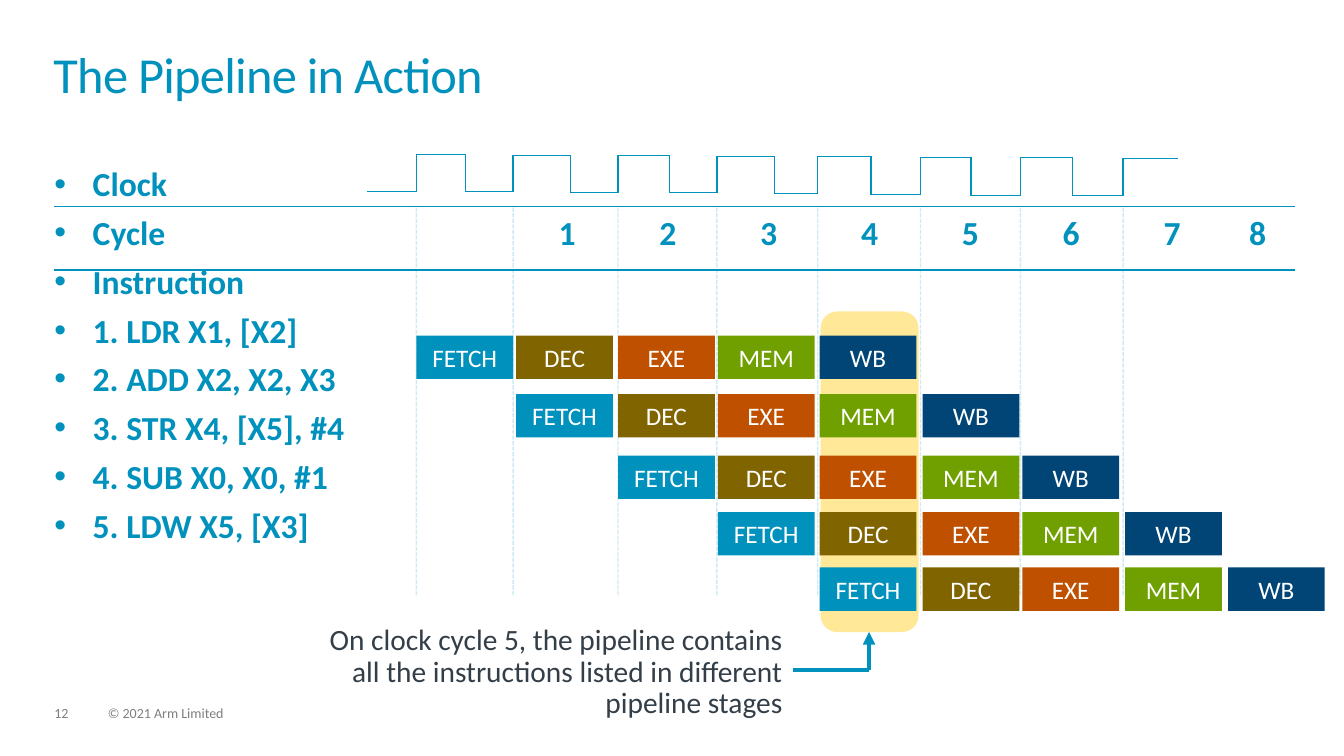
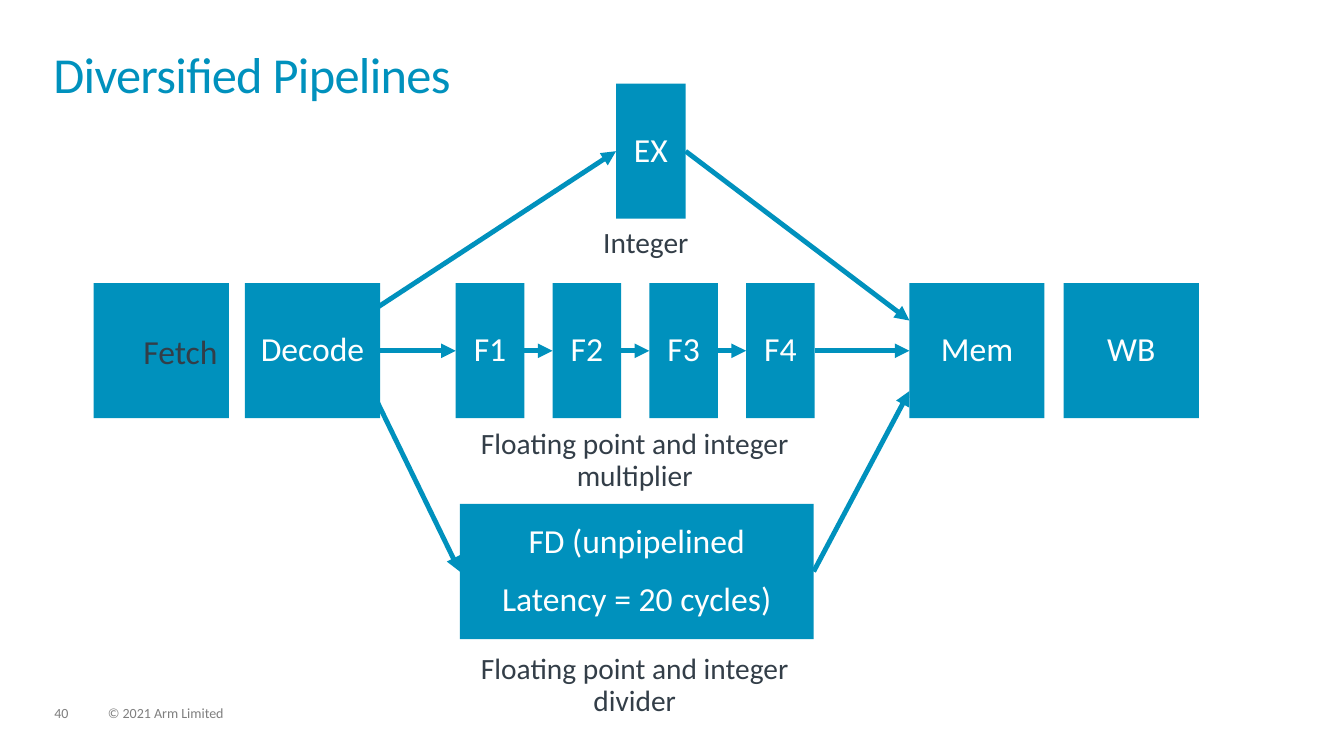
from dataclasses import dataclass
from itertools import pairwise
from typing import Optional

from lxml.etree import SubElement
from pptx import Presentation
from pptx.dml.color import RGBColor
from pptx.enum.dml import MSO_LINE
from pptx.enum.shapes import MSO_CONNECTOR, MSO_SHAPE
from pptx.enum.text import MSO_ANCHOR, MSO_AUTO_SIZE, PP_ALIGN
from pptx.oxml.ns import qn
from pptx.util import Inches, Pt

SLIDE_WIDTH, SLIDE_HEIGHT = 13.33, 7.5


@dataclass(frozen=True)
class Theme:
    font: str = "Calibri"
    blue: str = "0091BD"
    brown: str = "806400"
    orange: str = "BF5000"
    green: str = "70A000"
    navy: str = "004575"
    highlight: str = "FFE999"
    text: str = "333E48"
    footer: str = "7F7F7F"
    white: str = "FFFFFF"
    title_size: int = 36
    body_size: int = 24
    caption_size: int = 21
    stage_size: int = 18
    footer_size: int = 10


THEME = Theme()


@dataclass(frozen=True)
class Box:
    """A rectangle in inches."""
    left: float
    top: float
    width: float
    height: float

    @property
    def right(self) -> float:
        return self.left + self.width

    @property
    def middle(self) -> float:
        return self.top + self.height / 2

    def lengths(self) -> list:
        return [Inches(value) for value in
                (self.left, self.top, self.width, self.height)]


@dataclass(frozen=True)
class TextStyle:
    size: int
    color: str
    align: PP_ALIGN = PP_ALIGN.LEFT
    line_spacing: float = 1.0
    space_after: int = 0
    space_before: int = 0
    bold: bool = False


FOOTER = TextStyle(THEME.footer_size, THEME.footer, line_spacing=0.9)
TITLE = TextStyle(THEME.title_size, THEME.blue, line_spacing=0.85)
LISTING = TextStyle(THEME.body_size, THEME.blue, space_before=6, bold=True)
NOTE = TextStyle(THEME.caption_size, THEME.text, PP_ALIGN.RIGHT, 0.9)
CAPTION = TextStyle(THEME.caption_size, THEME.text, PP_ALIGN.CENTER, 0.9)
STAGE = TextStyle(THEME.stage_size, THEME.white, PP_ALIGN.CENTER)
UNIT = TextStyle(THEME.body_size, THEME.white, PP_ALIGN.CENTER, 0.9, 16)
FETCH_UNIT = TextStyle(THEME.body_size, THEME.text, PP_ALIGN.CENTER)


# Shared drawing functions

def format_paragraph(paragraph, style: TextStyle, first: bool) -> None:
    paragraph.alignment = style.align
    paragraph.line_spacing = style.line_spacing
    paragraph.space_before = Pt(0 if first else style.space_before)
    paragraph.space_after = Pt(style.space_after)
    font = paragraph.font
    font.name, font.size, font.bold = THEME.font, Pt(style.size), style.bold
    font.color.rgb = RGBColor.from_string(style.color)


def write_text(shape, text: str, style: TextStyle,
               anchor: MSO_ANCHOR = MSO_ANCHOR.TOP, inset_left: float = 0) -> None:
    frame = shape.text_frame
    frame.text = text
    frame.word_wrap = True
    frame.auto_size = MSO_AUTO_SIZE.NONE
    frame.vertical_anchor = anchor
    frame.margin_left = Inches(inset_left)
    frame.margin_right = frame.margin_top = frame.margin_bottom = 0
    for index, paragraph in enumerate(frame.paragraphs):
        format_paragraph(paragraph, style, index == 0)


def add_text(slide, box: Box, text: str, style: TextStyle) -> None:
    write_text(slide.shapes.add_textbox(*box.lengths()), text, style)


def add_block(slide, box: Box, fill: str, text: str = "",
              style: Optional[TextStyle] = None, inset_left: float = 0,
              kind: MSO_SHAPE = MSO_SHAPE.RECTANGLE) -> None:
    shape = slide.shapes.add_shape(kind, *box.lengths())
    shape.shadow.inherit = False
    shape.fill.solid()
    shape.fill.fore_color.rgb = RGBColor.from_string(fill)
    shape.line.fill.background()
    if style:
        write_text(shape, text, style, MSO_ANCHOR.MIDDLE, inset_left)


def add_line(slide, start: tuple[float, float], end: tuple[float, float],
             width: float = 1, arrow: bool = False, faint: bool = False) -> None:
    connector = slide.shapes.add_connector(
        MSO_CONNECTOR.STRAIGHT, *(Inches(value) for value in start + end))
    line = connector.line
    line.width = Pt(width)
    line.color.rgb = RGBColor.from_string(THEME.blue)
    properties = connector._element.spPr
    SubElement(properties, qn("a:effectLst"))
    if faint:
        line.dash_style = MSO_LINE.SQUARE_DOT
        color = properties.find(".//" + qn("a:srgbClr"))
        SubElement(color, qn("a:alpha"), val="18000")
    if arrow:
        SubElement(properties.find(qn("a:ln")), qn("a:tailEnd"), type="triangle")


def add_titled_slide(presentation, title: str, number: int):
    slide = presentation.slides.add_slide(presentation.slide_layouts[5])
    shape = slide.shapes.title
    shape.left, shape.top, shape.width, shape.height = Box(
        0.53, 0.52, 12.28, 0.72).lengths()
    write_text(shape, title, TITLE)
    run = shape.text_frame.paragraphs[0].runs[0]
    run._r.get_or_add_rPr().set("spc", "-50")
    add_text(slide, Box(0.54, 7.01, 0.34, 0.15), str(number), FOOTER)
    add_text(slide, Box(1.07, 7.01, 5.07, 0.15), "© 2021 Arm Limited", FOOTER)
    return slide


# Slide: pipeline timing chart

CLOCK_RISES = (4.13, 5.09, 6.13, 7.11, 8.11, 9.13, 10.12, 11.14)
CLOCK_FALLS = (4.62, 5.66, 6.64, 7.68, 8.64, 9.63, 10.64, 11.68)
STAGE_LEFTS = (4.13, 5.12, 6.13, 7.12, 8.13, 9.15, 10.14, 11.16, 12.18)
ROW_TOPS = (3.33, 3.91, 4.52, 5.08, 5.63)
STAGES = (("FETCH", THEME.blue), ("DEC", THEME.brown), ("EXE", THEME.orange),
          ("MEM", THEME.green), ("WB", THEME.navy))
LISTING_LINES = (
    "Clock", "Cycle\t" + "\t".join(str(cycle) for cycle in range(1, 9)),
    "Instruction", "1. LDR X1, [X2]", "2. ADD X2, X2, X3",
    "3. STR X4, [X5], #4", "4. SUB X0, X0, #1", "5. LDW X5, [X3]")
CYCLE_TABS = (5, 6, 7, 8, 9, 10, 11, 11.85)


def add_bullet_and_tabs(paragraph) -> None:
    properties = paragraph._p.get_or_add_pPr()
    hanging = Inches(0.38)
    properties.set("marL", str(hanging))
    properties.set("indent", str(-hanging))
    color = SubElement(properties, qn("a:buClr"))
    SubElement(color, qn("a:srgbClr"), val=THEME.blue)
    SubElement(properties, qn("a:buFont"), typeface="Arial")
    SubElement(properties, qn("a:buChar"), char="•")
    tabs = SubElement(properties, qn("a:tabLst"))
    for position in CYCLE_TABS:
        SubElement(tabs, qn("a:tab"), pos=str(Inches(position)), algn="l")


def add_listing(slide) -> None:
    shape = slide.shapes.add_textbox(*Box(0.54, 1.62, 12.23, 4.47).lengths())
    frame = shape.text_frame
    frame.word_wrap = True
    frame.margin_left = frame.margin_right = 0
    frame.margin_top = frame.margin_bottom = 0
    for index, text in enumerate(LISTING_LINES):
        paragraph = frame.add_paragraph() if index else frame.paragraphs[0]
        paragraph.text = text
        add_bullet_and_tabs(paragraph)
        format_paragraph(paragraph, LISTING, index == 0)


def add_clock(slide) -> None:
    """Draw a square wave that sinks slightly from left to right."""
    points = [(3.64, 1.9)]
    for cycle, (rise, fall) in enumerate(zip(CLOCK_RISES, CLOCK_FALLS)):
        high = round(1.53 + 0.04 * cycle / 7, 2)
        low = round(1.9 + 0.05 * cycle / 7, 2)
        points += [(rise, points[-1][1]), (rise, high), (fall, high), (fall, low)]
    for start, end in pairwise(points[:-1]):
        add_line(slide, start, end)


def build_timing_slide(presentation) -> None:
    slide = add_titled_slide(presentation, "The Pipeline in Action", 12)
    add_listing(slide)
    add_block(slide, Box(8.14, 3.09, 0.97, 3.18), THEME.highlight,
              kind=MSO_SHAPE.ROUNDED_RECTANGLE)
    for rule_top in (2.05, 2.68):
        add_line(slide, (0.54, rule_top), (12.84, rule_top))
    for rise in CLOCK_RISES:
        add_line(slide, (rise, 2.06), (rise, 5.92), faint=True)

    # Each instruction starts one cycle after the one above it
    for row, top in enumerate(ROW_TOPS):
        for step, (name, color) in enumerate(STAGES):
            box = Box(STAGE_LEFTS[row + step], top, 0.96, 0.43)
            add_block(slide, box, color, name, STAGE)

    # Note with its bent arrow
    add_line(slide, (8.62, 6.65), (8.62, 6.27), 3, arrow=True)
    add_line(slide, (8.62, 6.65), (7.87, 6.65), 3)
    add_text(slide, Box(3.22, 6.2, 4.54, 0.95),
             "On clock cycle 5, the pipeline contains all the instructions "
             "listed in different pipeline stages", NOTE)
    add_clock(slide)


# Slide: parallel execution units

UNIT_SIDE = 1.34
INTEGER_TOP, MAIN_TOP, DIVIDER_TOP = 0.83, 2.81, 5.0
MULTIPLIER_LEFT, MULTIPLIER_PITCH, NARROW = 4.52, 0.96, 0.68


def build_units_slide(presentation) -> None:
    slide = add_titled_slide(presentation, "Diversified Pipelines", 40)
    fetch, decode, memory, write_back = (
        Box(left, MAIN_TOP, UNIT_SIDE, UNIT_SIDE) for left in (0.93, 2.43, 9.02, 10.55))
    integer = Box(6.11, INTEGER_TOP, 0.69, UNIT_SIDE)
    divider = Box(4.56, DIVIDER_TOP, 3.51, UNIT_SIDE)
    multiplier = [Box(MULTIPLIER_LEFT + MULTIPLIER_PITCH * step, MAIN_TOP,
                      NARROW, UNIT_SIDE) for step in range(4)]

    # Units
    add_block(slide, fetch, THEME.blue, "Fetch", FETCH_UNIT, inset_left=0.38)
    units = [(decode, "Decode"), (integer, "EX"), (memory, "Mem"),
             (write_back, "WB"), (divider, "FD (unpipelined\nLatency = 20 cycles)")]
    units += [(box, f"F{step}") for step, box in enumerate(multiplier, 1)]
    for box, name in units:
        add_block(slide, box, THEME.blue, name, UNIT)

    # Arrows along the main row, then the branches around it
    arrows = [((before.right, before.middle), (after.left, after.middle))
              for before, after in pairwise([decode, *multiplier, memory])]
    arrows += [((3.56, 3.17), (integer.left, integer.middle)),
               ((3.69, 3.88), (divider.left, divider.middle)),
               ((integer.right, integer.middle), (memory.left, 3.18)),
               ((divider.right, divider.middle), (memory.left, 3.88))]
    for start, end in arrows:
        add_line(slide, start, end, 3.5, arrow=True)

    # Captions
    add_text(slide, Box(5.76, 2.26, 1.29, 0.32), "Integer", CAPTION)
    for top, kind in ((4.26, "multiplier"), (6.49, "divider")):
        add_text(slide, Box(MULTIPLIER_LEFT, top, 3.55, 0.64),
                 f"Floating point and integer {kind}", CAPTION)


def main() -> None:
    presentation = Presentation()
    presentation.slide_width = Inches(SLIDE_WIDTH)
    presentation.slide_height = Inches(SLIDE_HEIGHT)
    build_timing_slide(presentation)
    build_units_slide(presentation)
    presentation.save("out.pptx")


if __name__ == "__main__":
    main()
